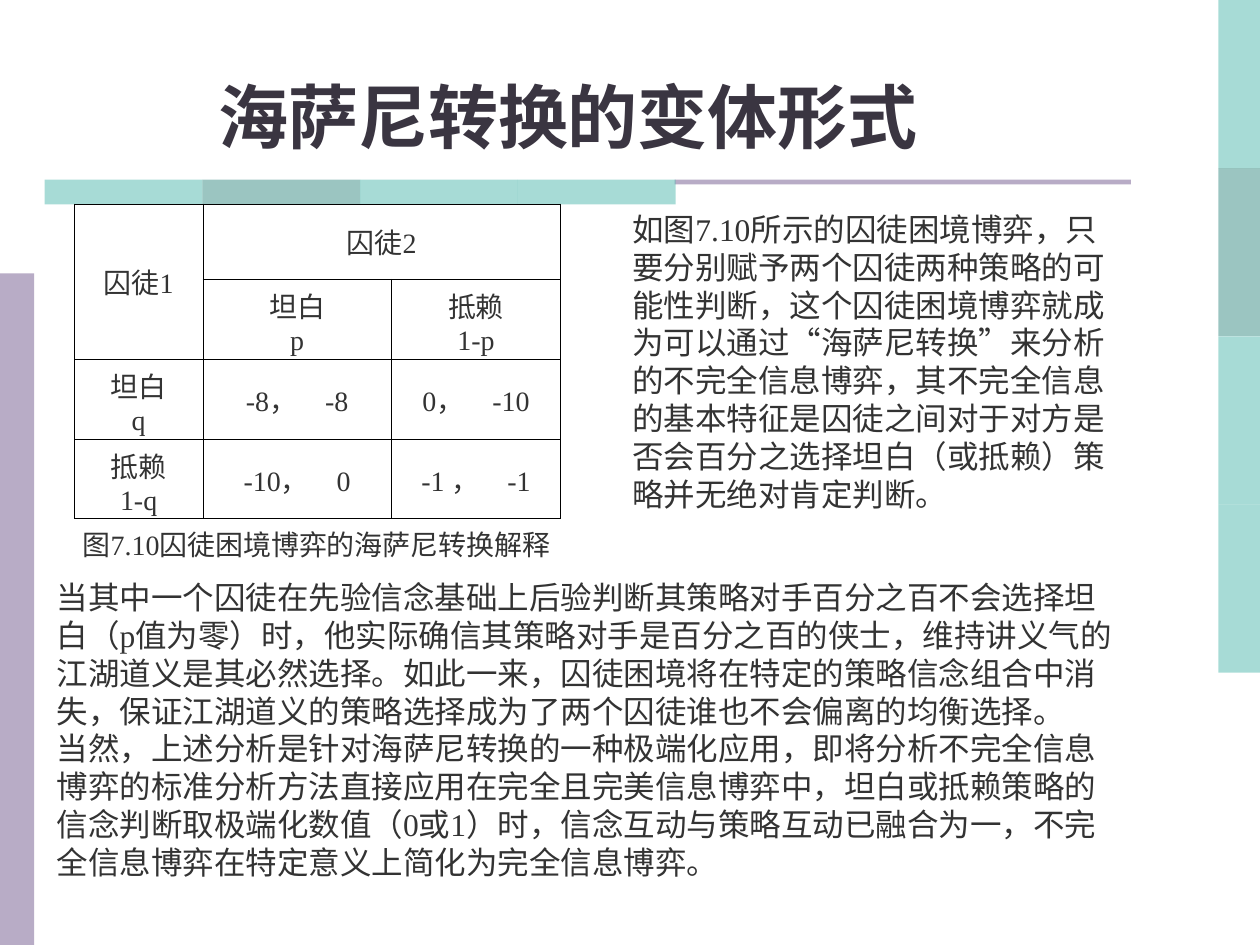
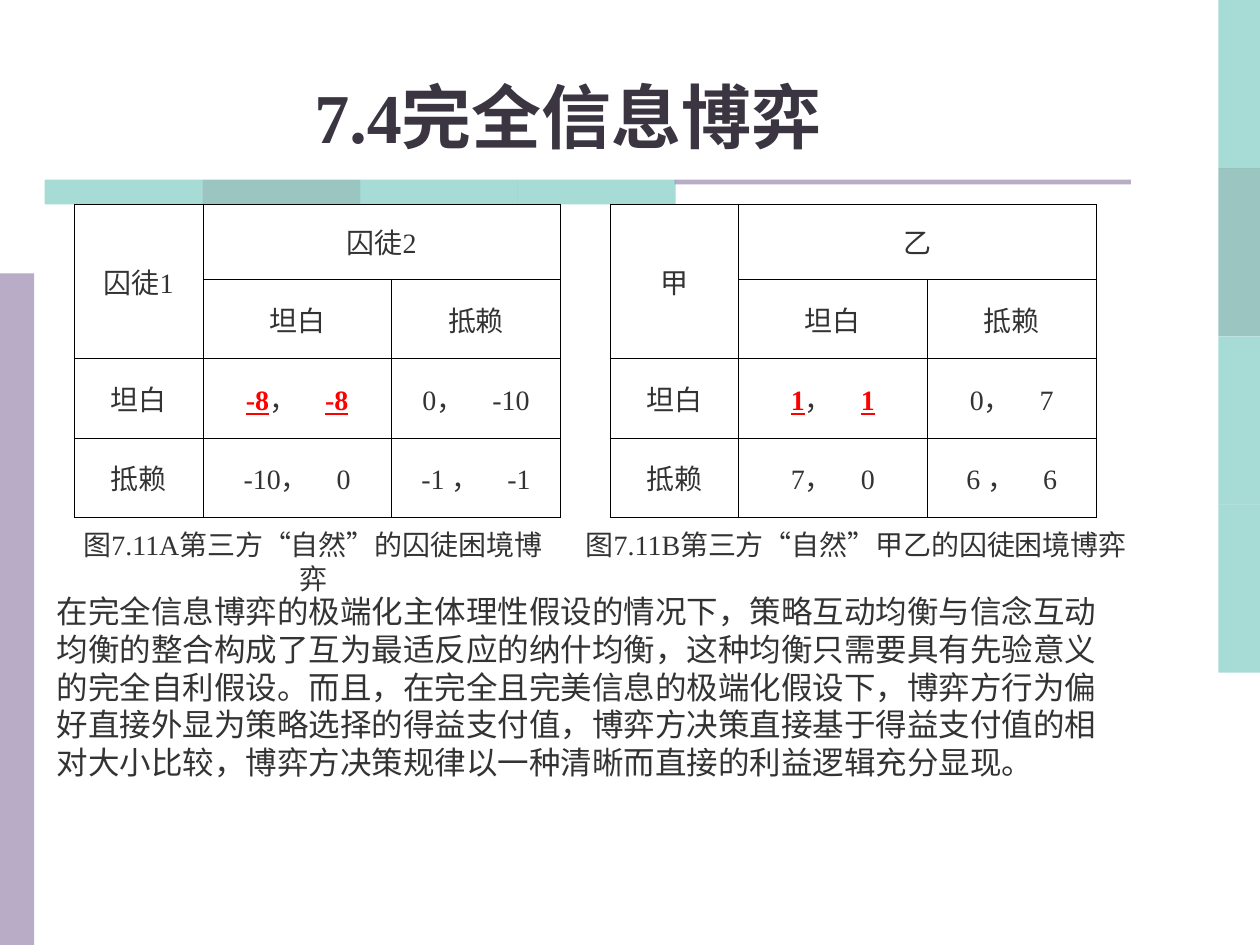
"""Build two slides on the Harsanyi transformation and complete-information games."""
from dataclasses import dataclass

from lxml import etree
from pptx import Presentation
from pptx.dml.color import RGBColor
from pptx.enum.shapes import MSO_SHAPE
from pptx.enum.text import MSO_ANCHOR, MSO_AUTO_SIZE, PP_ALIGN
from pptx.oxml.ns import qn
from pptx.util import Cm, Pt

RECTANGLE = MSO_SHAPE.RECTANGLE
MIDDLE, BOTTOM = MSO_ANCHOR.MIDDLE, MSO_ANCHOR.BOTTOM
GROW = MSO_AUTO_SIZE.SHAPE_TO_FIT_TEXT
LEFT, CENTER = PP_ALIGN.LEFT, PP_ALIGN.CENTER


@dataclass(frozen=True)
class Theme:
    font: str = "Times New Roman"
    title: RGBColor = RGBColor(0x3A, 0x35, 0x41)
    text: RGBColor = RGBColor(0x33, 0x33, 0x33)
    equilibrium: RGBColor = RGBColor(0xFF, 0x00, 0x00)
    teal: RGBColor = RGBColor(0x51, 0xB9, 0xAF)
    dark_teal: RGBColor = RGBColor(0x39, 0x8D, 0x85)
    lilac: RGBColor = RGBColor(0xB8, 0xAC, 0xC6)
    grid: RGBColor = RGBColor(0x00, 0x00, 0x00)
    grid_width: Pt = Pt(0.45)
    title_size: Pt = Pt(40)
    body_size: Pt = Pt(18)
    small_size: Pt = Pt(16)


THEME = Theme()
COMMA = "，　"
TABLE_TOP, CAPTION_TOP = 4.11, 10.52
COLUMN_WIDTHS = (2.59, 3.8, 3.41)
ROW_HEIGHTS = (1.52, 1.6, 1.6, 1.6)

BANDS = [(0, 5.51, 0.69, 13.54, THEME.lilac, 100),
         (13.6, 3.62, 9.2, 0.1, THEME.lilac, 100)]
for step, tint in enumerate((THEME.teal, THEME.dark_teal, THEME.teal, THEME.teal)):
    BANDS.append((24.56, 3.39 * step, 0.84, 3.39, tint, 50))
    BANDS.append((0.9 + 3.18 * step, 3.62, 3.18, 0.5, tint, 50))

PAGES = [
    {
        "title": "海萨尼转换的变体形式",
        "games": [(1.5, False, [
            ["囚徒1", "囚徒2", ""],
            ["", "坦白\np", "抵赖\n1-p"],
            ["坦白\nq", "-8，　-8", "0，　-10"],
            ["抵赖\n1-q", "-10，　0", "-1 ，　-1"],
        ])],
        "captions": [(1.42, 10.21, LEFT, False, "图7.10囚徒困境博弈的海萨尼转换解释")],
        "bodies": [
            (0.89, 11.53, 22, 6.35,
             "当其中一个囚徒在先验信念基础上后验判断其策略对手百分之百不会选择坦白（p值为零）时，"
             "他实际确信其策略对手是百分之百的侠士，维持讲义气的江湖道义是其必然选择。"
             "如此一来，囚徒困境将在特定的策略信念组合中消失，"
             "保证江湖道义的策略选择成为了两个囚徒谁也不会偏离的均衡选择。\n"
             "当然，上述分析是针对海萨尼转换的一种极端化应用，"
             "即将分析不完全信息博弈的标准分析方法直接应用在完全且完美信息博弈中，"
             "坦白或抵赖策略的信念判断取极端化数值（0或1）时，信念互动与策略互动已融合为一，"
             "不完全信息博弈在特定意义上简化为完全信息博弈。"),
            (12.5, 4.11, 10.21, 6.35,
             "如图7.10所示的囚徒困境博弈，只要分别赋予两个囚徒两种策略的可能性判断，"
             "这个囚徒困境博弈就成为可以通过“海萨尼转换”来分析的不完全信息博弈，"
             "其不完全信息的基本特征是囚徒之间对于对方是否会百分之选择坦白（或抵赖）策略并无绝对肯定判断。"),
        ],
    },
    {
        "title": "7.4完全信息博弈",
        "games": [
            (1.5, True, [
                ["囚徒1", "囚徒2", ""],
                ["", "坦白", "抵赖"],
                ["坦白", "-8，　-8", "0，　-10"],
                ["抵赖", "-10，　0", "-1 ，　-1"],
            ]),
            (12.3, True, [
                ["甲", "乙", ""],
                ["", "坦白", "抵赖"],
                ["坦白", "1，　1", "0，　7"],
                ["抵赖", "7，　0", "6 ，　6"],
            ]),
        ],
        "captions": [
            (1.32, 9.98, CENTER, True, "图7.11A第三方“自然”的囚徒困境博弈"),
            (11.56, 11.56, LEFT, True, "图7.11B第三方“自然”甲乙的囚徒困境博弈"),
        ],
        "bodies": [
            (0.89, 11.81, 22, 4.06,
             "在完全信息博弈的极端化主体理性假设的情况下，"
             "策略互动均衡与信念互动均衡的整合构成了互为最适反应的纳什均衡，"
             "这种均衡只需要具有先验意义的完全自利假设。而且，在完全且完美信息的极端化假设下，"
             "博弈方行为偏好直接外显为策略选择的得益支付值，"
             "博弈方决策直接基于得益支付值的相对大小比较，"
             "博弈方决策规律以一种清晰而直接的利益逻辑充分显现。"),
        ],
    },
]


def write(frame, text, size, color=THEME.text, align=LEFT, bold=False):
    frame.text = text
    for paragraph in frame.paragraphs:
        paragraph.alignment = align
        font = paragraph.font
        font.name, font.size, font.bold = THEME.font, size, bold
        font.color.rgb = color


def add_game(slide, left, mark_equilibrium, rows):
    game = slide.shapes.add_table(4, 3, Cm(left), Cm(TABLE_TOP), Cm(sum(COLUMN_WIDTHS)),
                                  Cm(sum(ROW_HEIGHTS))).table
    game.first_row = game.horz_banding = False
    for column, width in zip(game.columns, COLUMN_WIDTHS):
        column.width = Cm(width)
    for row, height in zip(game.rows, ROW_HEIGHTS):
        row.height = Cm(height)
    game.cell(0, 0).merge(game.cell(1, 0))
    game.cell(0, 1).merge(game.cell(0, 2))
    for r, row in enumerate(rows):
        for c, text in enumerate(row):
            cell = game.cell(r, c)
            cell.vertical_anchor = MIDDLE
            properties = cell._tc.get_or_add_tcPr()
            for side in ("a:lnL", "a:lnR", "a:lnT", "a:lnB"):
                edge = etree.SubElement(properties, qn(side), w=str(THEME.grid_width))
                paint = etree.SubElement(edge, qn("a:solidFill"))
                etree.SubElement(paint, qn("a:srgbClr"), val=str(THEME.grid))
            cell.fill.background()
            if cell.is_spanned:
                continue
            write(cell.text_frame, text, THEME.small_size, align=CENTER)
            if mark_equilibrium and (r, c) == (2, 1):
                paragraph = cell.text_frame.paragraphs[0]
                paragraph.clear()
                for part in text.partition(COMMA):
                    run = paragraph.add_run()
                    run.text = part
                    if part != COMMA:
                        run.font.bold = run.font.underline = True
                        run.font.color.rgb = THEME.equilibrium


deck = Presentation()
deck.slide_width, deck.slide_height = Cm(25.4), Cm(19.05)

for page in PAGES:
    slide = deck.slides.add_slide(deck.slide_layouts[6])

    for left, top, width, height, tint, opacity in BANDS:
        band = slide.shapes.add_shape(RECTANGLE, Cm(left), Cm(top), Cm(width), Cm(height))
        band.shadow.inherit = False
        band.line.fill.background()
        band.fill.solid()
        band.fill.fore_color.rgb = tint
        if opacity < 100:
            shade = band._element.spPr.find(qn("a:solidFill"))[0]
            etree.SubElement(shade, qn("a:alpha"), val=str(opacity * 1000))

    title = slide.shapes.add_textbox(0, Cm(1.12), Cm(22.9), Cm(2.18)).text_frame
    title.word_wrap = True
    title.vertical_anchor = BOTTOM
    write(title, page["title"], THEME.title_size, THEME.title, CENTER, True)

    for left, mark_equilibrium, rows in page["games"]:
        add_game(slide, left, mark_equilibrium, rows)

    for left, width, align, wrap, text in page["captions"]:
        caption = slide.shapes.add_textbox(Cm(left), Cm(CAPTION_TOP), Cm(width), Cm(0.94)).text_frame
        caption.word_wrap = wrap
        caption.auto_size = GROW
        write(caption, text, THEME.small_size, align=align)

    for left, top, width, height, text in page["bodies"]:
        body = slide.shapes.add_textbox(Cm(left), Cm(top), Cm(width), Cm(height)).text_frame
        body.word_wrap = True
        body.auto_size = GROW
        write(body, text, THEME.body_size)

deck.save("out.pptx")
